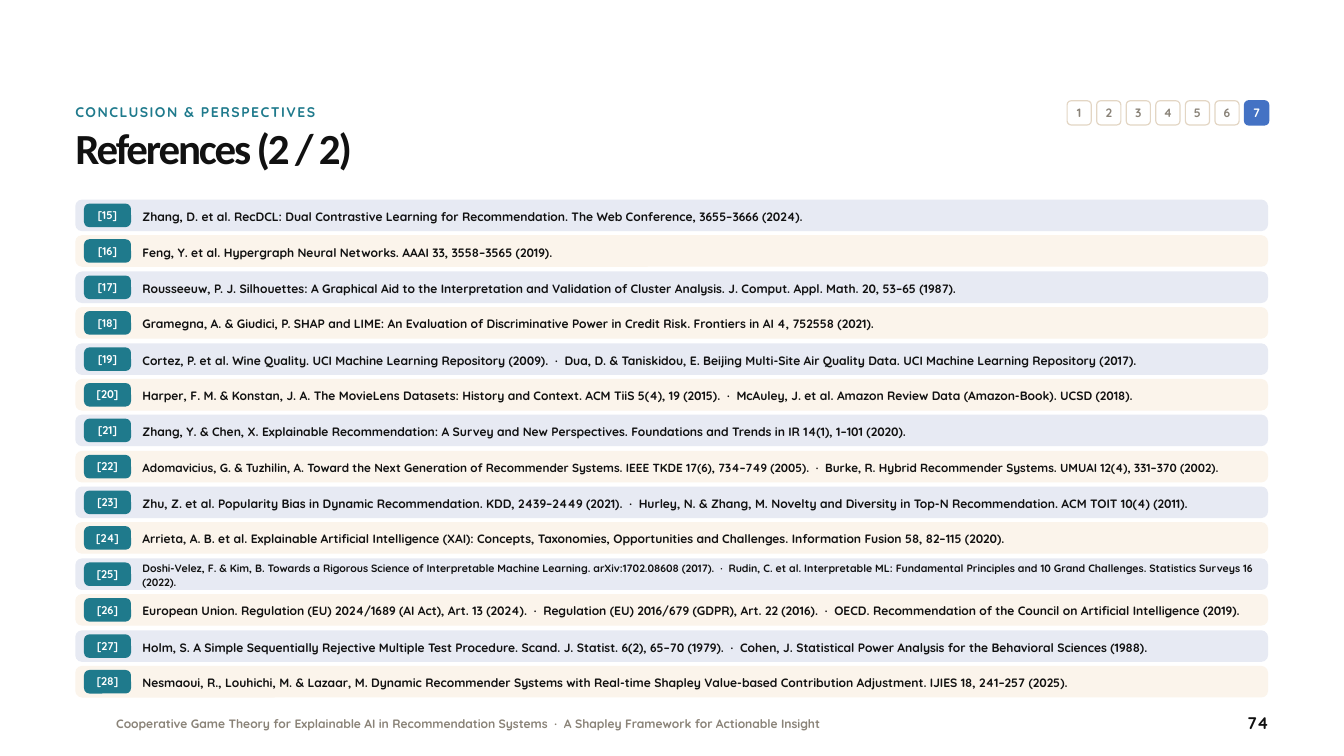
from pptx import Presentation
from pptx import util as u
from pptx.dml.color import RGBColor
from pptx.enum import shapes, text

PX = 9144
COLORS = {
    "ink": "111111",
    "muted": "8A8378",
    "teal": "1F7A8C",
    "blue": "4472C4",
    "sand": "E3D6C4",
    "white": "FFFFFF",
    "row_cool": "E7EAF3",
    "row_warm": "FBF4EB",
}
LEFT, WIDTH = 112, 1775
STEP_COUNT = 7
FIRST_NUMBER = 15
FIRST_TOP, LAST_TOP = 297, 991
ROW_HEIGHT = 47

REFERENCES = [
    "Zhang, D. et al. RecDCL: Dual Contrastive Learning for Recommendation. The Web Conference, 3655–3666 (2024).",
    "Feng, Y. et al. Hypergraph Neural Networks. AAAI 33, 3558–3565 (2019).",
    "Rousseeuw, P. J. Silhouettes: A Graphical Aid to the Interpretation and Validation of Cluster Analysis. J. Comput. Appl. Math. 20, 53–65 (1987).",
    "Gramegna, A. & Giudici, P. SHAP and LIME: An Evaluation of Discriminative Power in Credit Risk. Frontiers in AI 4, 752558 (2021).",
    "Cortez, P. et al. Wine Quality. UCI Machine Learning Repository (2009).  ·  Dua, D. & Taniskidou, E. Beijing Multi-Site Air Quality Data. UCI Machine Learning Repository (2017).",
    "Harper, F. M. & Konstan, J. A. The MovieLens Datasets: History and Context. ACM TiiS 5(4), 19 (2015).  ·  McAuley, J. et al. Amazon Review Data (Amazon-Book). UCSD (2018).",
    "Zhang, Y. & Chen, X. Explainable Recommendation: A Survey and New Perspectives. Foundations and Trends in IR 14(1), 1–101 (2020).",
    "Adomavicius, G. & Tuzhilin, A. Toward the Next Generation of Recommender Systems. IEEE TKDE 17(6), 734–749 (2005).  ·  Burke, R. Hybrid Recommender Systems. UMUAI 12(4), 331–370 (2002).",
    "Zhu, Z. et al. Popularity Bias in Dynamic Recommendation. KDD, 2439–2449 (2021).  ·  Hurley, N. & Zhang, M. Novelty and Diversity in Top-N Recommendation. ACM TOIT 10(4) (2011).",
    "Arrieta, A. B. et al. Explainable Artificial Intelligence (XAI): Concepts, Taxonomies, Opportunities and Challenges. Information Fusion 58, 82–115 (2020).",
    "Doshi-Velez, F. & Kim, B. Towards a Rigorous Science of Interpretable Machine Learning. arXiv:1702.08608 (2017).  ·  Rudin, C. et al. Interpretable ML: Fundamental Principles and 10 Grand Challenges. Statistics Surveys 16 (2022).",
    "European Union. Regulation (EU) 2024/1689 (AI Act), Art. 13 (2024).  ·  Regulation (EU) 2016/679 (GDPR), Art. 22 (2016).  ·  OECD. Recommendation of the Council on Artificial Intelligence (2019).",
    "Holm, S. A Simple Sequentially Rejective Multiple Test Procedure. Scand. J. Statist. 6(2), 65–70 (1979).  ·  Cohen, J. Statistical Power Analysis for the Behavioral Sciences (1988).",
    "Nesmaoui, R., Louhichi, M. & Lazaar, M. Dynamic Recommender Systems with Real-time Shapley Value-based Contribution Adjustment. IJIES 18, 241–257 (2025).",
]
TIGHT_SIZES = {22: (12.6, 17.6), 25: (11.4, 16)}


def rgb(name):
    return RGBColor.from_string(COLORS[name])


def write(frame, words, size=13, leading=18.2, color="ink", face="Quicksand",
          align="LEFT", anchor="TOP", tracking=None):
    frame.word_wrap = True
    frame.margin_left = frame.margin_right = frame.margin_top = frame.margin_bottom = 0
    frame.vertical_anchor = getattr(text.MSO_ANCHOR, anchor)
    paragraph = frame.paragraphs[0]
    paragraph.alignment = getattr(text.PP_ALIGN, align)
    paragraph.line_spacing = u.Pt(leading)
    run = paragraph.add_run()
    run.text = words
    run.font.name = face
    run.font.size = u.Pt(size)
    run.font.bold = True
    run.font.color.rgb = rgb(color)
    if tracking:
        run.font._element.set("spc", str(round(tracking * 100)))


class Deck:
    def __init__(self):
        self.deck = Presentation()
        self.deck.slide_width, self.deck.slide_height = 2000 * PX, 1125 * PX
        self.slide = self.deck.slides.add_slide(self.deck.slide_layouts[6])

    def label(self, box, words, **style):
        area = self.slide.shapes.add_textbox(*(v * PX for v in box))
        write(area.text_frame, words, **style)

    def panel(self, box, fill, radius, line=None):
        panel = self.slide.shapes.add_shape(
            shapes.MSO_SHAPE.ROUNDED_RECTANGLE, *(v * PX for v in box))
        panel.adjustments[0] = radius / min(box[2:])
        panel.shadow.inherit = False
        panel.fill.solid()
        panel.fill.fore_color.rgb = rgb(fill)
        if line:
            panel.line.color.rgb = rgb(line)
            panel.line.width = u.Pt(1.25)
        else:
            panel.line.fill.background()
        return panel

    def badge(self, box, words, fill, radius, line=None, **style):
        badge = self.panel(box, fill, radius, line)
        write(badge.text_frame, words, align="CENTER", anchor="MIDDLE", **style)

    def step(self, number):
        current = number == STEP_COUNT
        self.badge((1588 + 44 * (number - 1), 150, 36, 36), str(number),
                   "blue" if current else "white", 6,
                   line="blue" if current else "sand",
                   leading=15, color="white" if current else "muted")

    def reference(self, index, citation):
        number = FIRST_NUMBER + index
        top = round(FIRST_TOP + index * (LAST_TOP - FIRST_TOP) / (len(REFERENCES) - 1))
        size, leading = TIGHT_SIZES.get(number, (13, 18.2))
        self.panel((LEFT, top, WIDTH, ROW_HEIGHT), "row_warm" if index % 2 else "row_cool", 10)
        self.badge((125, top + 6, 70, 35), f"[{number}]", "teal", 8,
                   size=12, leading=13.8, color="white")
        self.label((212, top, 1660, ROW_HEIGHT), citation,
                   size=size, leading=leading, anchor="MIDDLE")


def main():
    page = Deck()
    page.label((173, 1066, 1400, 30),
               "Cooperative Game Theory for Explainable AI in Recommendation Systems  ·  A Shapley Framework for Actionable Insight",
               leading=16, color="muted")
    page.label((1768, 1060, 120, 36), "74", size=18, leading=22, align="RIGHT")
    page.label((LEFT, 152, 1415, 36), "CONCLUSION & PERSPECTIVES",
               size=15, leading=20, color="teal", tracking=1.6)
    for number in range(1, STEP_COUNT + 1):
        page.step(number)
    page.label((LEFT, 188, WIDTH, 80), "References (2 / 2)",
               size=46, leading=50.6, face="Calibri", tracking=-2.3)
    for index, citation in enumerate(REFERENCES):
        page.reference(index, citation)
    page.deck.save("out.pptx")


if __name__ == "__main__":
    main()
